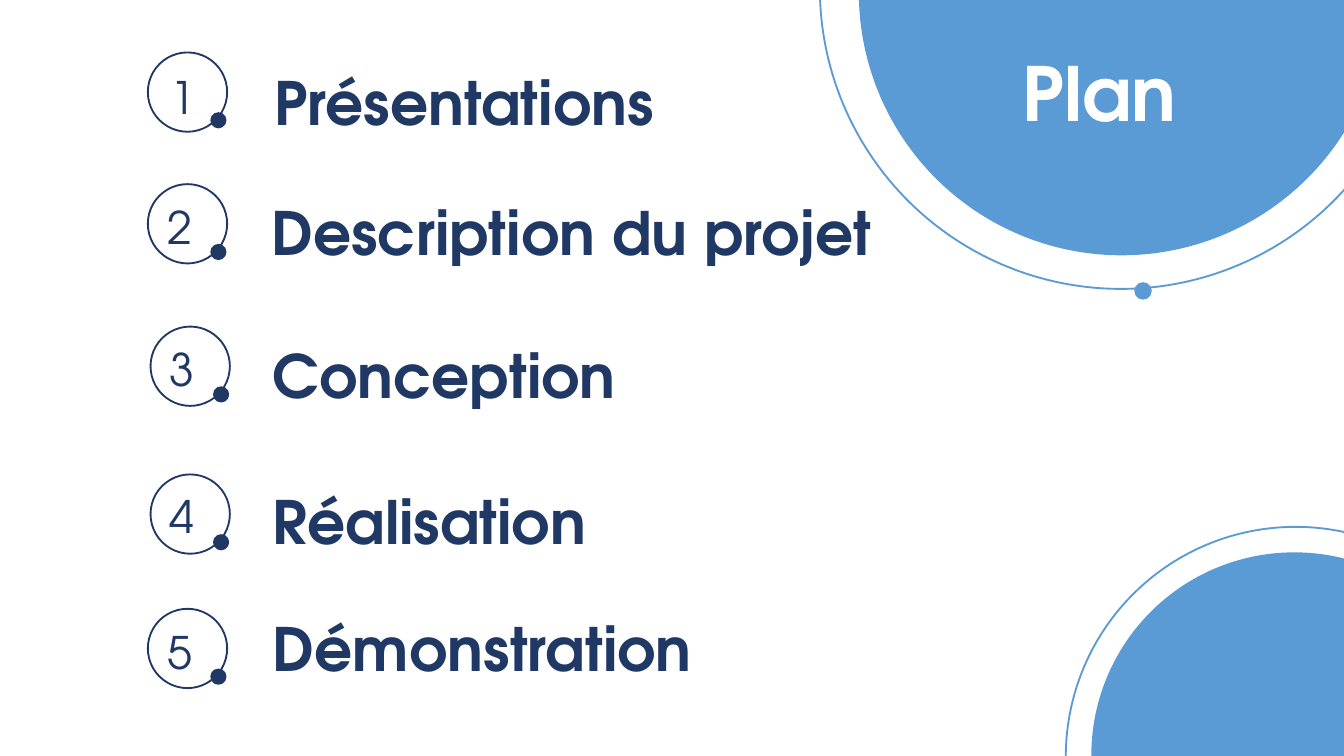
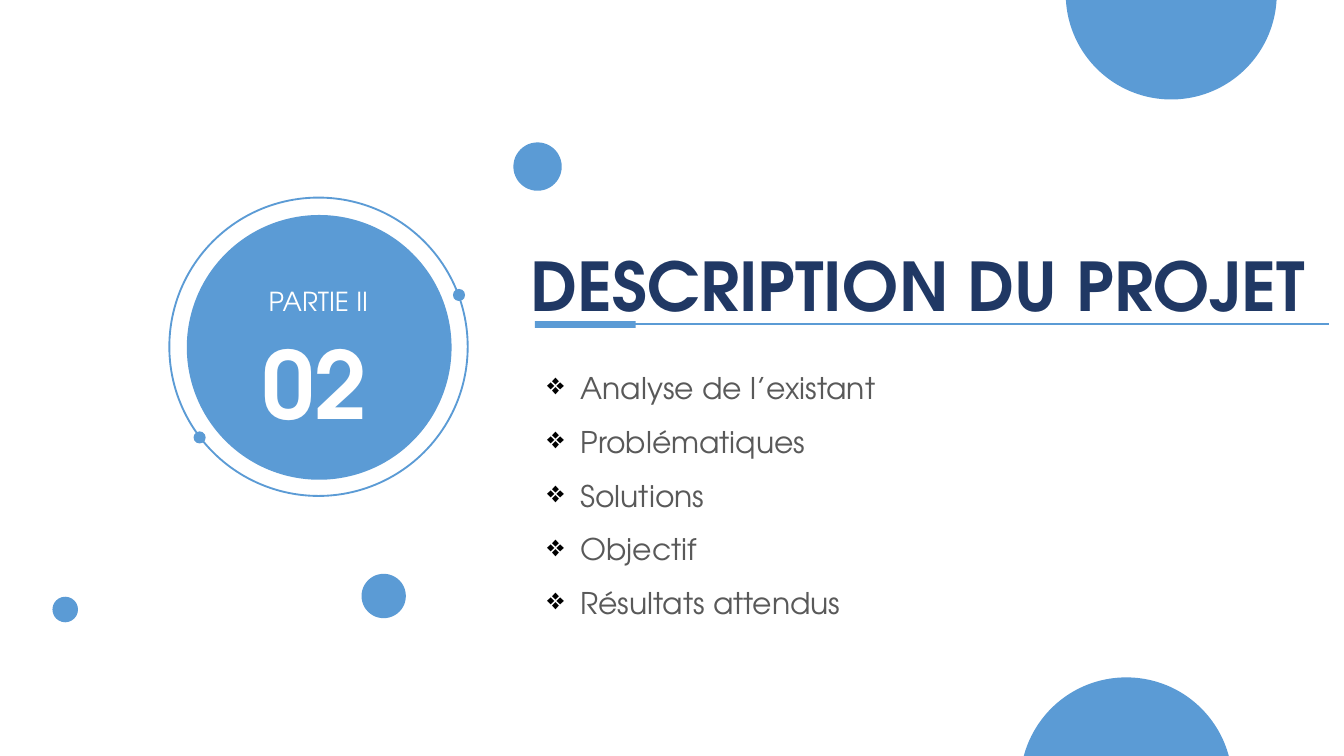
from lxml.etree import SubElement
from pptx import Presentation
from pptx.dml.color import RGBColor
from pptx.enum.shapes import MSO_CONNECTOR, MSO_SHAPE
from pptx.enum.text import PP_ALIGN as ALIGN
from pptx.oxml.ns import qn
from pptx.util import Pt

PX = 9144  # 100 px to the inch
BLUE, NAVY, WHITE, GREY, BLACK = "5B9BD5", "203864", "FFFFFF", "595959", "000000"
FONT = "TeX Gyre Adventor"
color = RGBColor.from_string


def draw(page, box, fill=None, line=None, weight=1, kind=MSO_SHAPE.OVAL):
    """Add a shape; box is left, top, width, height in px."""
    shape = page.shapes.add_shape(kind, *(n * PX for n in box))
    shape.shadow.inherit = False
    if fill:
        shape.fill.solid()
        shape.fill.fore_color.rgb = color(fill)
    else:
        shape.fill.background()
    if line:
        shape.line.color.rgb = color(line)
        shape.line.width = Pt(weight)
    else:
        shape.line.fill.background()


def write(page, box, lines, size, ink, bold=False, align=ALIGN.LEFT, inset=(7, 4)):
    """Add a text box with one paragraph a line and return its paragraphs."""
    frame = page.shapes.add_textbox(*(n * PX for n in box)).text_frame
    across, down = (n * PX for n in inset)
    margins = {"margin_left": across, "margin_right": across,
               "margin_top": down, "margin_bottom": down, "word_wrap": True}
    for name, value in margins.items():
        setattr(frame, name, value)
    for index, line in enumerate(lines):
        para = frame.add_paragraph() if index else frame.paragraphs[0]
        para.alignment = align
        span = para.add_run()
        span.text = line
        for name, value in {"name": FONT, "size": Pt(size), "bold": bold}.items():
            setattr(span.font, name, value)
        span.font.color.rgb = color(ink)
    return frame.paragraphs


deck = Presentation()
deck.slide_width, deck.slide_height = 1000 * PX, 5143500
blank = deck.slide_layouts[6]

# Slide 1: plan
page = deck.slides.add_slide(blank)
draw(page, (639, -201, 391, 391), BLUE)
draw(page, (844, 210, 13, 13), BLUE)
draw(page, (610, -233, 448, 448), line=BLUE)
write(page, (661, 31, 314, 75), ["Plan"], 40, WHITE, True, ALIGN.CENTER)
draw(page, (812, 411, 302, 302), BLUE)
draw(page, (793, 392, 342, 342), line=BLUE)

# title, title box, circle corner, number corner
chapters = [
    ("Présentations", (197, 45, 316, 61), (110, 39), (117, 47)),
    ("Description du projet", (195, 142, 482, 61), (110, 137), (115, 144)),
    ("Conception", (196, 248, 342, 61), (112, 243), (116, 249)),
    ("Réalisation", (196, 357, 342, 61), (112, 353), (116, 359)),
    ("Démonstration", (196, 451, 342, 61), (110, 453), (115, 460)),
]
for number, (title, title_box, (left, top), corner) in enumerate(chapters, 1):
    write(page, (*corner, 52, 50), [str(number)], 24, NAVY,
          align=ALIGN.JUSTIFY, inset=(10, 5))
    draw(page, (left, top, 59, 59), line=NAVY)
    draw(page, (left + 47, top + 45, 11, 11), NAVY, NAVY, 0.75)
    write(page, title_box, [title], 32, NAVY, True)

# Slide 2: section opening
page = deck.slides.add_slide(blank)
draw(page, (139, 160, 197, 197), BLUE)
draw(page, (126, 147, 222, 222), line=BLUE)
for left, top, size in [(337, 215, 9), (144, 321, 9), (793, -83, 157), (759, 504, 158),
                        (382, 106, 36), (269, 427, 33), (39, 444, 19)]:
    draw(page, (left, top, size, size), BLUE)
write(page, (162, 208, 150, 31), ["PARTIE II"], 14, WHITE, align=ALIGN.CENTER)
write(page, (188, 239, 97, 91), ["02"], 50, WHITE, True, ALIGN.JUSTIFY)
write(page, (388, 178, 603, 68), ["DESCRIPTION DU PROJET"], 36, NAVY, True, ALIGN.JUSTIFY)

draw(page, (398, 239, 75, 5), BLUE, kind=MSO_SHAPE.RECTANGLE)
rule = page.shapes.add_connector(MSO_CONNECTOR.STRAIGHT, 469 * PX, 241 * PX, 989 * PX, 241 * PX)
rule.line.color.rgb = color(BLUE)
rule.line.width = Pt(0.75)
SubElement(rule._element.spPr, qn("a:effectLst"))

topics = ["Analyse de l’existant", "Problématiques", "Solutions", "Objectif",
          "Résultats attendus"]
for para in write(page, (400, 258, 475, 125), topics, 16, GREY, align=ALIGN.JUSTIFY):
    para.line_spacing = 1.5
    props = para._p.get_or_add_pPr()
    props.set("marL", str(25 * PX))
    props.set("indent", str(-25 * PX))
    bullet_color = SubElement(props, qn("a:buClr"))
    SubElement(bullet_color, qn("a:srgbClr"), val=BLACK)
    SubElement(props, qn("a:buChar"), char="❖")

deck.save("out.pptx")
